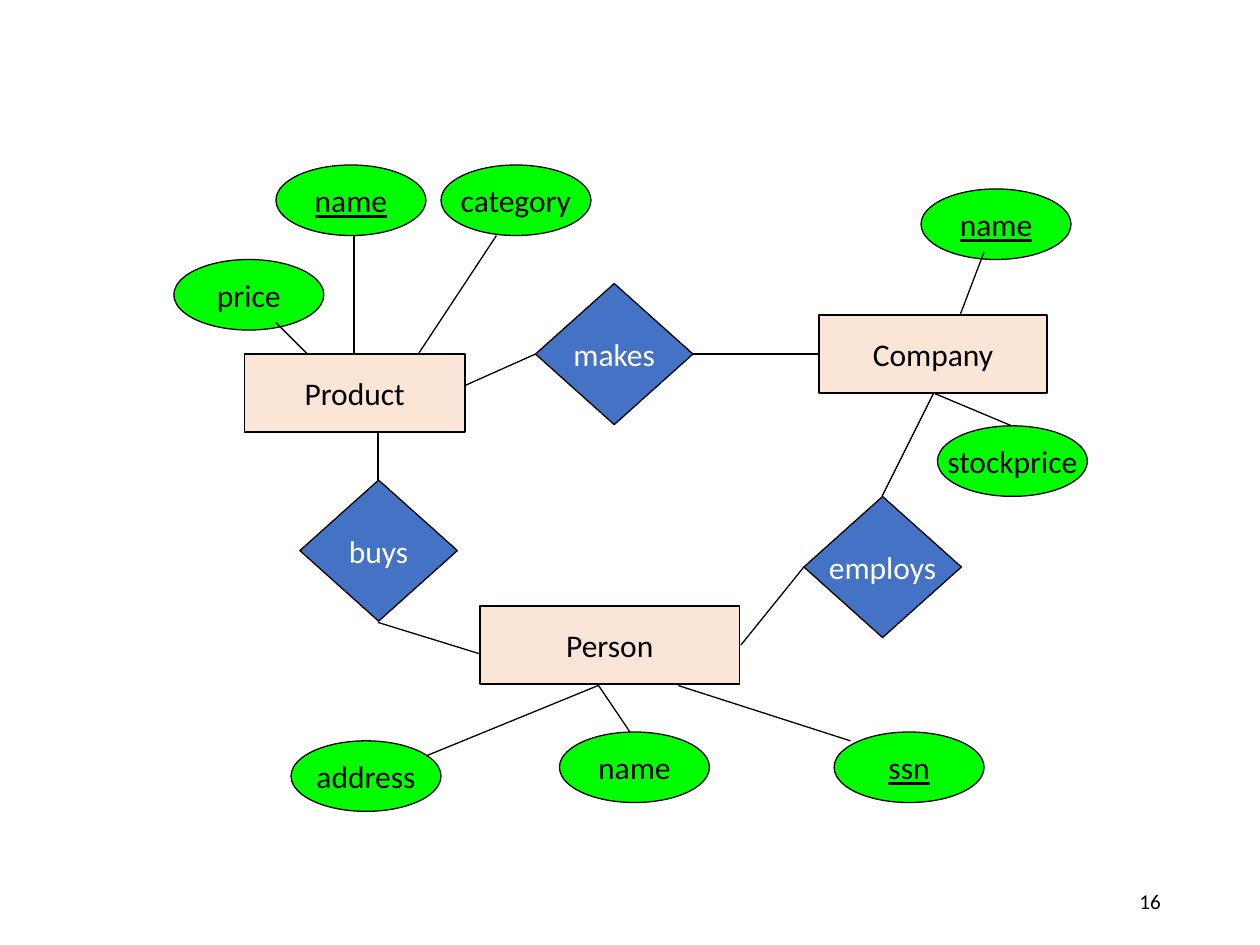
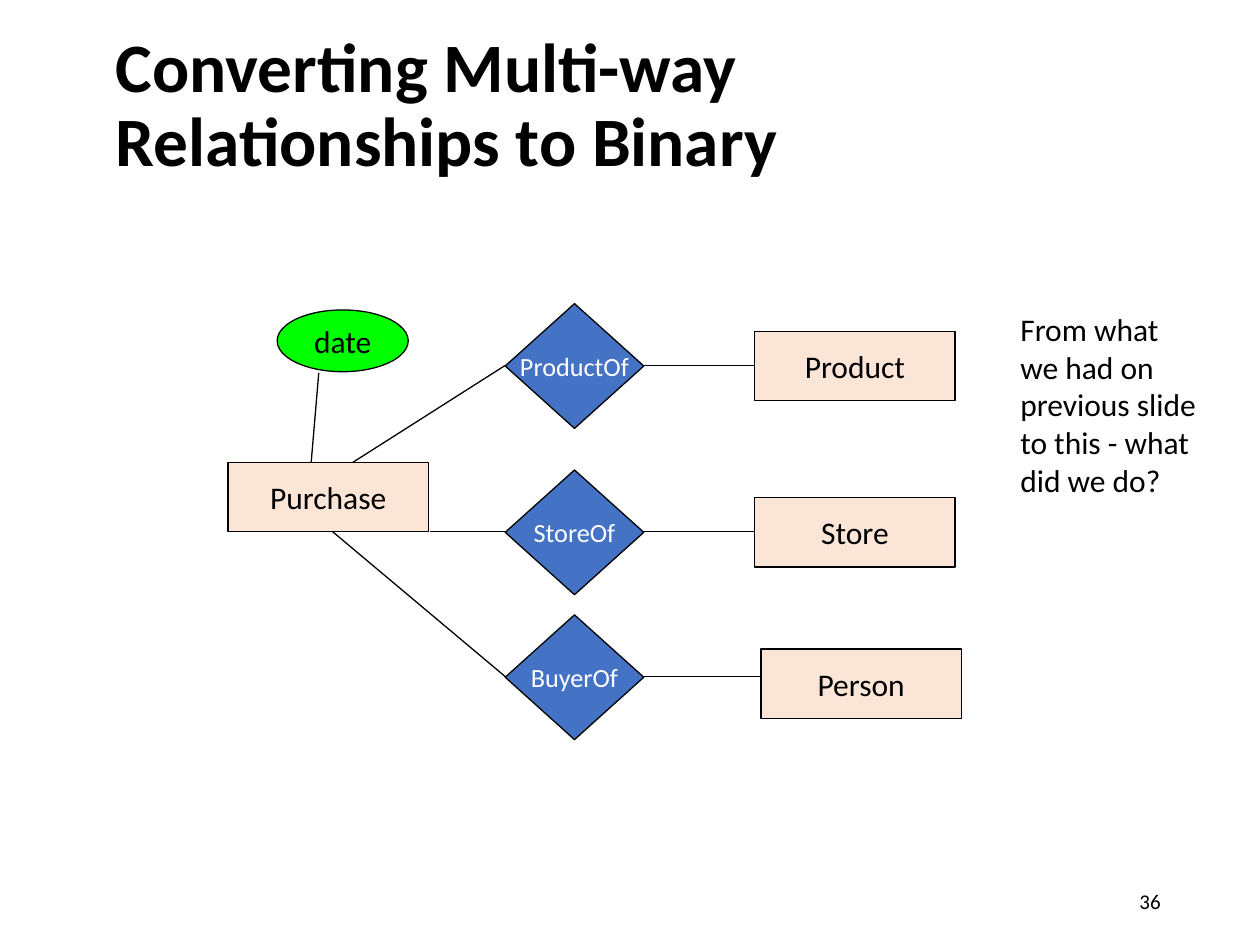
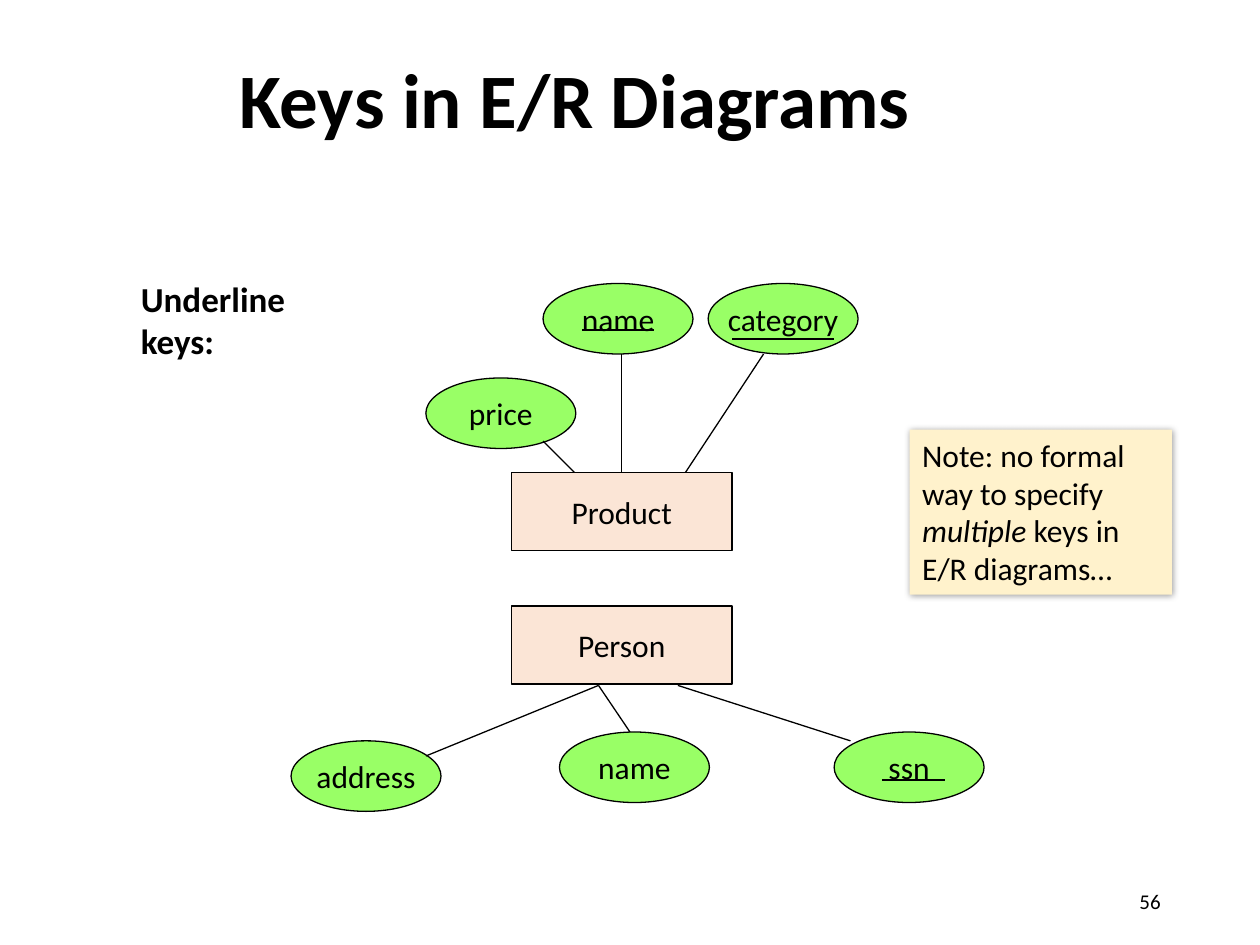
from lxml import etree
from pptx import Presentation
from pptx.dml.color import RGBColor
from pptx.enum import shapes, text
from pptx.oxml import ns
from pptx.util import Inches, Pt

BLACK = RGBColor(0x00, 0x00, 0x00)
WHITE = RGBColor(0xFF, 0xFF, 0xFF)
BLUE = RGBColor(0x44, 0x72, 0xC4)
PEACH = RGBColor(0xFB, 0xE5, 0xD6)
GREEN = RGBColor(0x00, 0xFF, 0x00)
LIGHT_GREEN = RGBColor(0x99, 0xFF, 0x66)
CREAM = RGBColor(0xFF, 0xF2, 0xCC)
FONT = "Calibri"
LINE_WIDTH = Pt(0.75)
OVAL_SIZE = (1.19, 0.56)
DIAMOND_SIZE = (1.25, 1.12)
ENTITY_HEIGHT = 0.62

SHAPE = shapes.MSO_SHAPE
LEFT, CENTER, RIGHT = text.PP_ALIGN.LEFT, text.PP_ALIGN.CENTER, text.PP_ALIGN.RIGHT
TOP, MIDDLE = text.MSO_ANCHOR.TOP, text.MSO_ANCHOR.MIDDLE


def format_run(r, size, color=BLACK, bold=False, underline=False, italic=False):
    r.font.name = FONT
    r.font.size = Pt(size)
    r.font.color.rgb = color
    r.font.bold = bold
    r.font.italic = italic
    r.font.underline = underline


def add_node(s, kind, label, x, y, w, h, fill, color=BLACK, size=18, key=False):
    sp = s.shapes.add_shape(kind, Inches(x), Inches(y), Inches(w), Inches(h))
    sp.shadow.inherit = False
    sp.fill.solid()
    sp.fill.fore_color.rgb = fill
    sp.line.color.rgb = BLACK
    sp.line.width = LINE_WIDTH
    tf = sp.text_frame
    tf.word_wrap = False
    tf.vertical_anchor = MIDDLE
    tf.text = label
    p = tf.paragraphs[0]
    p.alignment = CENTER
    format_run(p.runs[0], size, color, underline=key)


def add_entity(s, label, x, y, w, h=ENTITY_HEIGHT):
    add_node(s, SHAPE.RECTANGLE, label, x, y, w, h, PEACH)


def add_attribute(s, label, x, y, fill=GREEN, key=False, size=OVAL_SIZE):
    add_node(s, SHAPE.OVAL, label, x, y, *size, fill, key=key)


def add_relationship(s, label, x, y, size=DIAMOND_SIZE, font_size=18):
    add_node(s, SHAPE.DIAMOND, label, x, y, *size, BLUE, WHITE, font_size)


def add_line(s, x1, y1, x2, y2):
    c = s.shapes.add_connector(shapes.MSO_CONNECTOR.STRAIGHT,
                               Inches(x1), Inches(y1), Inches(x2), Inches(y2))
    c.line.color.rgb = BLACK
    c.line.width = LINE_WIDTH
    etree.SubElement(c._element.spPr, ns.qn("a:effectLst"))


def add_text(s, content, x, y, w, h, size=18, bold=False, align=LEFT, anchor=TOP):
    tb = s.shapes.add_textbox(Inches(x), Inches(y), Inches(w), Inches(h))
    tf = tb.text_frame
    tf.word_wrap = True
    tf.vertical_anchor = anchor
    tf.text = content
    p = tf.paragraphs[0]
    p.alignment = align
    format_run(p.runs[0], size, bold=bold)
    return p


def add_title(s, content, x, y, w, h, size):
    p = add_text(s, content, x, y, w, h, size, bold=True, anchor=MIDDLE)
    p.line_spacing = 0.9


def add_note(s, parts, x, y, w, h):
    sp = s.shapes.add_shape(SHAPE.RECTANGLE, Inches(x), Inches(y), Inches(w), Inches(h))
    sp.fill.solid()
    sp.fill.fore_color.rgb = CREAM
    sp.line.fill.background()
    sp.shadow.inherit = False
    effects = sp._element.spPr.find(ns.qn("a:effectLst"))
    shadow = etree.SubElement(effects, ns.qn("a:outerShdw"), blurRad=str(Pt(4)),
                              dist=str(Pt(1)), dir="2700000", algn="tl", rotWithShape="0")
    color = etree.SubElement(shadow, ns.qn("a:srgbClr"), val=str(BLACK))
    etree.SubElement(color, ns.qn("a:alpha"), val="40000")
    tf = sp.text_frame
    tf.word_wrap = True
    tf.vertical_anchor = TOP
    p = tf.paragraphs[0]
    p.alignment = LEFT
    for content, italic in parts:
        r = p.add_run()
        r.text = content
        format_run(r, 18, italic=italic)


def add_product(s, x, y, price_x, fill, underline_keys):
    add_entity(s, "Product", x, y, 1.75)
    add_attribute(s, "name", x + 0.25, y - 1.5, fill, underline_keys)
    add_attribute(s, "category", x + 1.56, y - 1.5, fill)
    add_attribute(s, "price", price_x, y - 0.75, fill)
    for start, end, rise in [(0.5, 0.25, 0.25), (0.87, 0.87, 0.94), (1.38, 2, 0.94)]:
        add_line(s, x + start, y, x + end, y - rise)


def add_person(s, x, w, fill, underline_keys):
    add_entity(s, "Person", x, 4.81, w)
    add_attribute(s, "address", 2.31, 5.88, fill)
    add_attribute(s, "name", 4.44, 5.81, fill)
    add_attribute(s, "ssn", 6.62, 5.81, fill, underline_keys)
    for start, end_x, end_y in [(4.75, 3.38, 6), (4.75, 5, 5.81), (5.38, 6.75, 5.88)]:
        add_line(s, start, 5.44, end_x, end_y)


def add_slide(prs, number):
    s = prs.slides.add_slide(prs.slide_layouts[6])
    add_text(s, str(number), 7.06, 6.95, 2.25, 0.4, 12, align=RIGHT, anchor=MIDDLE)
    return s


def build_company_diagram(prs):
    s = add_slide(prs, 16)
    for label, x, y in [("makes", 4.25, 2.25), ("buys", 2.38, 3.81), ("employs", 6.38, 3.94)]:
        add_relationship(s, label, x, y)
    for ends in [(5.5, 2.81, 6.5, 2.81), (4.25, 2.81, 3.69, 3.06),
                 (3, 3.81, 3, 3.44), (3, 4.94, 3.81, 5.19),
                 (6.38, 4.5, 5.88, 5.12), (7, 3.94, 7.41, 3.12)]:
        add_line(s, *ends)
    add_product(s, 1.94, 2.81, 1.38, GREEN, True)
    add_person(s, 3.81, 2.06, GREEN, True)
    add_entity(s, "Company", 6.5, 2.5, 1.81)
    add_attribute(s, "stockprice", 7.44, 3.38)
    add_attribute(s, "name", 7.31, 1.5, key=True)
    add_line(s, 7.62, 2.5, 7.81, 2)
    add_line(s, 7.41, 3.12, 8.03, 3.38)


def build_binary_conversion(prs):
    s = add_slide(prs, 36)
    add_title(s, "Converting Multi-way Relationships to Binary", 0.82, 0.28, 8.27, 1.14, 39.6)
    add_entity(s, "Purchase", 1.81, 3.67, 1.59, 0.55)
    rows = [("Product", "ProductOf", 2.9, 5.99, 2.63, 2.8, 3.67),
            ("Store", "StoreOf", 4.22, 5.99, 3.95, 3.41, 4.22),
            ("Person", "BuyerOf", 5.37, 6.04, 5.15, 2.64, 4.22)]
    for entity, relationship, mid, x, y, purchase_x, purchase_y in rows:
        add_entity(s, entity, x, y, 1.59, 0.55)
        add_relationship(s, relationship, 4.01, mid - 0.49, (1.1, 0.99), 15)
        add_line(s, 4.01, mid, purchase_x, purchase_y)
        add_line(s, 5.11, mid, x, mid)
    add_attribute(s, "date", 2.2, 2.46, size=(1.04, 0.49))
    add_line(s, 2.47, 3.67, 2.53, 2.96)
    add_text(s, "From what we had on previous slide to this - what did we do?", 8, 2.41, 1.6, 1.62)


def build_keys(prs):
    s = add_slide(prs, 56)
    add_title(s, "Keys in E/R Diagrams", 1.8, 0.35, 6.24, 0.94, 44)
    add_person(s, 4.06, 1.75, LIGHT_GREEN, False)
    add_product(s, 4.06, 3.75, 3.38, LIGHT_GREEN, False)
    for x1, x2, y in [(4.62, 5.19, 2.62), (5.81, 6.62, 2.69), (7, 7.5, 6.19)]:
        add_line(s, x1, y, x2, y)
    add_text(s, "Underline keys:", 1.02, 2.15, 1.93, 0.44, 20, bold=True)
    add_note(s, [("Note: no formal way to specify ", False), ("multiple", True),
                 (" keys in E/R diagrams…", False)], 7.22, 3.41, 2.08, 1.31)


def main():
    prs = Presentation()
    prs.slide_width = Inches(10)
    prs.slide_height = Inches(7.5)
    build_company_diagram(prs)
    build_binary_conversion(prs)
    build_keys(prs)
    prs.save("out.pptx")


if __name__ == "__main__":
    main()
